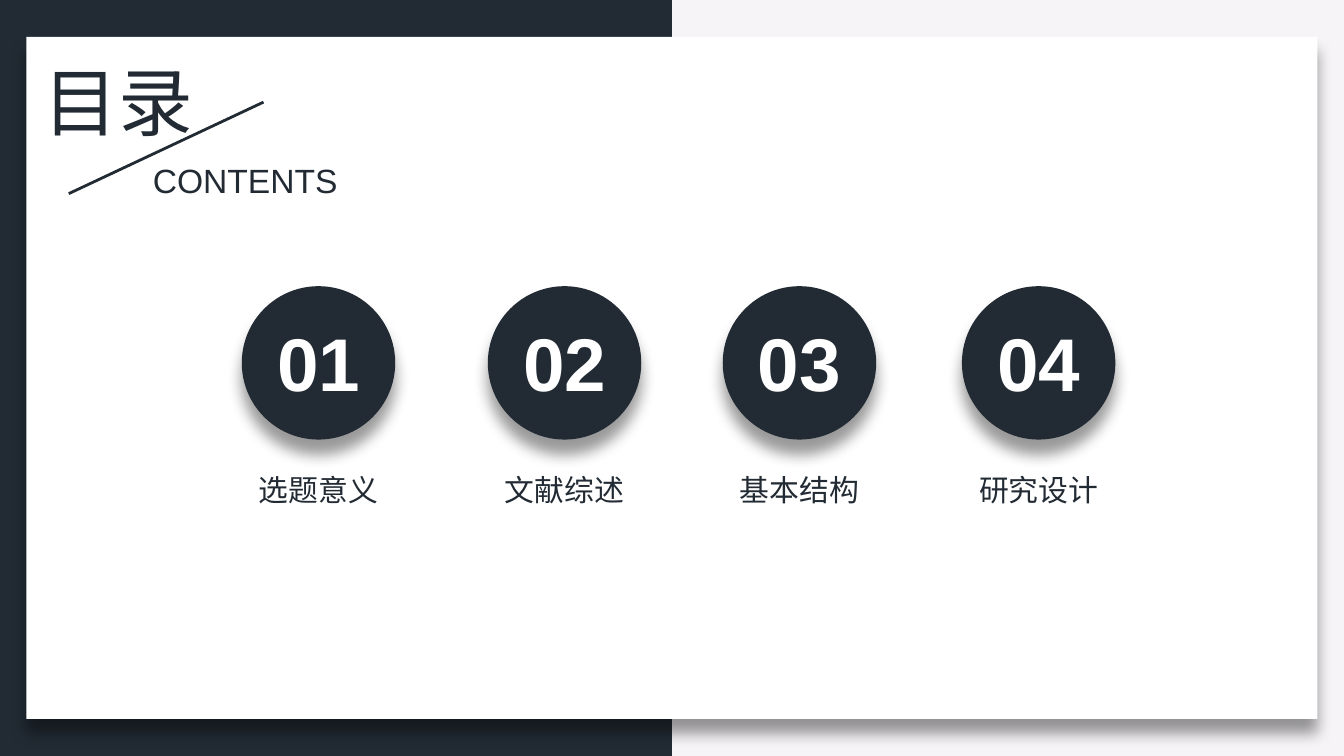
from lxml import etree
from pptx import Presentation
from pptx import util as u
from pptx.dml.color import RGBColor
from pptx.enum import shapes, text
from pptx.oxml import parse_xml
from pptx.oxml.ns import nsdecls, qn

COLOURS = {"navy": "222B34", "pale": "F6F4F7", "white": "FFFFFF", "shadow": "000000"}
CJK_FONT = "Noto Sans CJK SC"
CHAPTERS = [
    (6.02, "选题意义"),
    (10.67, "文献综述"),
    (15.11, "基本结构"),
    (19.63, "研究设计"),
]


def colour(name):
    """Return the named colour."""
    return RGBColor.from_string(COLOURS[name])


def add_shadow(panel):
    """Give a shape a soft shadow straight below it."""
    panel._element.spPr.append(parse_xml(
        f'<a:effectLst {nsdecls("a")}>'
        f'<a:outerShdw blurRad="{u.Pt(8)}" dist="{u.Pt(8)}" dir="5400000" '
        'algn="t" rotWithShape="0">'
        f'<a:srgbClr val="{COLOURS["shadow"]}"><a:alpha val="40000"/></a:srgbClr>'
        '</a:outerShdw></a:effectLst>'))


def add_panel(slide, kind, left, top, width, height, fill, shadow=False):
    """Add a filled shape without outline, sized in centimetres."""
    panel = slide.shapes.add_shape(kind, u.Cm(left), u.Cm(top), u.Cm(width), u.Cm(height))
    panel.fill.solid()
    panel.fill.fore_color.rgb = colour(fill)
    panel.line.fill.background()
    if shadow:
        add_shadow(panel)
    else:
        panel.shadow.inherit = False


def add_text(slide, words, left, top, width, height, *, size, font="Arial",
             fill="navy", bold=False, align=text.PP_ALIGN.LEFT):
    """Add one line of text that does not wrap."""
    box = slide.shapes.add_textbox(u.Cm(left), u.Cm(top), u.Cm(width), u.Cm(height))
    frame = box.text_frame
    frame.word_wrap = False
    frame.auto_size = text.MSO_AUTO_SIZE.SHAPE_TO_FIT_TEXT
    line = frame.paragraphs[0]
    line.alignment = align
    run = line.add_run()
    run.text = words
    run.font.size = u.Pt(size)
    run.font.name = font
    run.font.bold = bold
    run.font.color.rgb = colour(fill)
    east_asian = etree.Element(qn("a:ea"), typeface=CJK_FONT)
    run.font._element.find(qn("a:latin")).addnext(east_asian)


def add_slash(slide, start, end):
    """Add the slanted rule between the two titles."""
    slash = slide.shapes.add_connector(
        shapes.MSO_CONNECTOR.STRAIGHT, *(u.Cm(value) for value in start + end))
    slash.line.color.rgb = colour("navy")
    slash.line.width = u.Pt(1.5)
    etree.SubElement(slash._element.spPr, qn("a:effectLst"))


def add_chapter(slide, number, centre, title):
    """Add a numbered disc with its chapter title below."""
    disc, number_width, title_width = 2.9, 2.11, 2.77
    add_panel(slide, shapes.MSO_SHAPE.OVAL, centre - disc / 2, 5.41, disc, disc,
              "navy", shadow=True)
    add_text(slide, f"{number:02d}", centre - number_width / 2, 5.87, number_width, 1.96,
             size=40, fill="white", bold=True, align=text.PP_ALIGN.CENTER)
    add_text(slide, title, centre - title_width / 2, 8.79, title_width, 0.94,
             size=16, font=CJK_FONT, align=text.PP_ALIGN.CENTER)


def main():
    """Build the contents slide and save it."""
    deck = Presentation()
    deck.slide_width, deck.slide_height = u.Cm(25.4), u.Cm(14.29)
    slide = deck.slides.add_slide(deck.slide_layouts[6])
    slide.background.fill.solid()
    slide.background.fill.fore_color.rgb = colour("pale")

    add_panel(slide, shapes.MSO_SHAPE.RECTANGLE, 0, 0, 12.7, 14.29, "navy")
    add_panel(slide, shapes.MSO_SHAPE.RECTANGLE, 0.5, 0.7, 24.4, 12.89, "white", shadow=True)
    add_text(slide, "目录", 0.58, 0.94, 3.35, 1.96, size=40, font="Calibri")
    add_slash(slide, (4.98, 1.93), (1.3, 3.66))
    add_text(slide, "CONTENTS", 2.64, 2.9, 4.04, 1.02, size=18)
    for number, (centre, title) in enumerate(CHAPTERS, start=1):
        add_chapter(slide, number, centre, title)

    deck.save("out.pptx")


if __name__ == "__main__":
    main()
